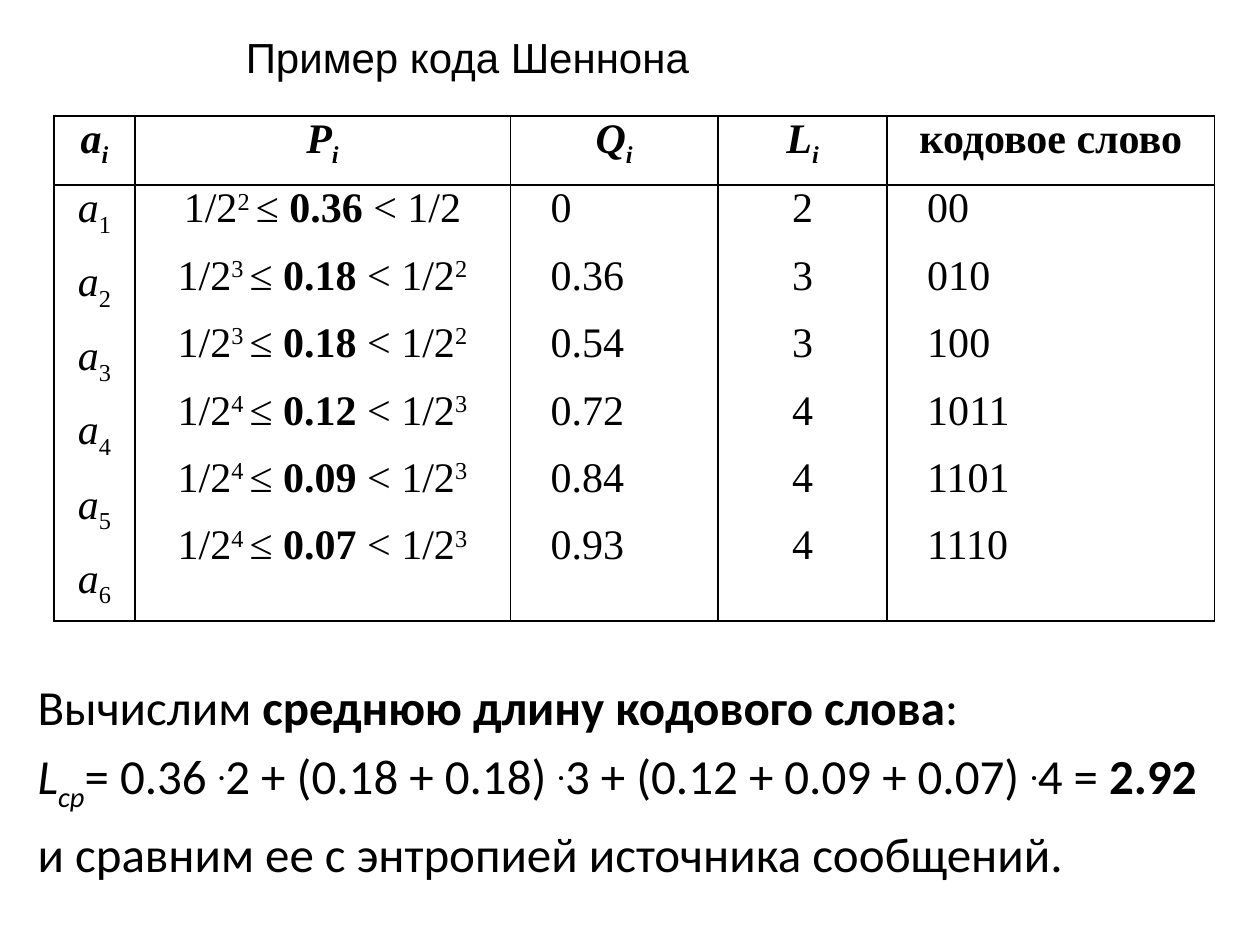
from lxml.etree import SubElement
from pptx import Presentation
from pptx.dml.color import RGBColor
from pptx.enum.text import MSO_ANCHOR, MSO_AUTO_SIZE, PP_ALIGN
from pptx.oxml.ns import qn
from pptx.util import Inches, Pt

THEME = {
    "ink": "000000",
    "title": ("Arial", 24),
    "table": ("Times New Roman", 24),
    "body": ("Calibri", 28),
    "border": 1,
    "gap": 6,
}

# A run is (text, marks): b bold, i italic, _ subscript, ^ superscript.
TITLE = [("Пример кода Шеннона", "")]
SYMBOLS = ["a", "P", "Q", "L"]
LAST_HEADER = [("кодовое слово", "b")]

# Lower power of two, probability, upper power, cumulative Q, length, code word
CODES = [
    ("2", "0.36", "", "0", "2", "00"),
    ("3", "0.18", "2", "0.36", "3", "010"),
    ("3", "0.18", "2", "0.54", "3", "100"),
    ("4", "0.12", "3", "0.72", "4", "1011"),
    ("4", "0.09", "3", "0.84", "4", "1101"),
    ("4", "0.07", "3", "0.93", "4", "1110"),
]
COLUMN_WIDTHS = [0.64, 2.98, 1.65, 1.34, 2.6]
ROW_HEIGHTS = [0.55, 3.46]
LEFT_COLUMNS = (2, 4)
CELL_MARGIN, LEFT_INDENT = 0.07, 0.25

DOT = (".", "b^")
SUMMARY = [
    [("Вычислим ", ""), ("среднюю длину кодового слова", "b"), (":", "")],
    [("L", "i"), ("ср", "i_"), ("= 0.36 ", ""), DOT,
     ("2 + (0.18 + 0.18) ", ""), DOT,
     ("3 + (0.12 + 0.09 + 0.07) ", ""), DOT, ("4 = ", ""), ("2.92", "b")],
    [("и сравним ее с энтропией источника сообщений.", "")],
]


def write(tf, lines, font, align, before=0, after=0):
    name, size = font
    for n, line in enumerate(lines):
        p = tf.paragraphs[0] if n == 0 else tf.add_paragraph()
        p.alignment = align
        p.space_before = Pt(before if n or after else 0)
        p.space_after = Pt(after)
        for text, marks in line:
            r = p.add_run()
            r.text = text
            r.font.name, r.font.size = name, Pt(size)
            r.font.bold, r.font.italic = "b" in marks, "i" in marks
            r.font.color.rgb = RGBColor.from_string(THEME["ink"])
            if "_" in marks or "^" in marks:
                base = "-25000" if "_" in marks else "30000"
                r.font._element.set("baseline", base)


def add_text(slide, box, lines, font, align, before=0):
    tf = slide.shapes.add_textbox(*map(Inches, box)).text_frame
    tf.auto_size = MSO_AUTO_SIZE.SHAPE_TO_FIT_TEXT
    write(tf, lines, font, align, before)
    return tf


def set_borders(cell):
    tc_pr = cell._tc.get_or_add_tcPr()
    for side in ("a:lnL", "a:lnR", "a:lnT", "a:lnB"):
        ln = SubElement(tc_pr, qn(side), w=str(Pt(THEME["border"])))
        fill = SubElement(ln, qn("a:solidFill"))
        SubElement(fill, qn("a:srgbClr"), val=THEME["ink"])


def code_columns():
    """Return the body of each column as a list of lines."""
    columns = [[] for _ in COLUMN_WIDTHS]
    for n, (low, prob, high, total, length, word) in enumerate(CODES, 1):
        bounds = [("1/2", ""), (low + " ", "^"), ("≤ ", ""),
                  (prob, "b"), (" < 1/2", "")]
        if high:
            bounds.append((high, "^"))
        lines = ([("a", "i"), (str(n), "_")], bounds,
                 [(total, "")], [(length, "")], [(word, "")])
        for column, line in zip(columns, lines):
            column.append(line)
    return columns


def add_code_table(slide):
    headers = [[(s, "bi"), ("i", "bi_")] for s in SYMBOLS] + [LAST_HEADER]
    rows = [[[h] for h in headers], code_columns()]
    table = slide.shapes.add_table(
        len(rows), len(headers), Inches(0.43), Inches(0.92),
        Inches(sum(COLUMN_WIDTHS)), Inches(sum(ROW_HEIGHTS))).table
    table.first_row = table.horz_banding = False
    for column, width in zip(table.columns, COLUMN_WIDTHS):
        column.width = Inches(width)
    for i, row in enumerate(rows):
        table.rows[i].height = Inches(ROW_HEIGHTS[i])
        gap = THEME["gap"] if i else 0
        for j, lines in enumerate(row):
            cell = table.cell(i, j)
            left = i > 0 and j in LEFT_COLUMNS
            cell.margin_left = Inches(CELL_MARGIN + LEFT_INDENT * left)
            cell.margin_right = Inches(CELL_MARGIN)
            cell.margin_top = cell.margin_bottom = 0
            set_borders(cell)
            cell.fill.background()
            write(cell.text_frame, lines, THEME["table"],
                  PP_ALIGN.LEFT if left else PP_ALIGN.CENTER, gap, gap)


def main():
    prs = Presentation()
    prs.slide_width, prs.slide_height = Inches(10), Inches(7.5)
    slide = prs.slides.add_slide(prs.slide_layouts[6])
    add_code_table(slide)
    title = add_text(slide, (1.83, 0.2, 3.76, 0.5), [*[TITLE]],
                     THEME["title"], PP_ALIGN.CENTER)
    title.word_wrap = False
    title.vertical_anchor = MSO_ANCHOR.MIDDLE
    summary = add_text(slide, (0.2, 5.32, 9.69, 1.99), SUMMARY,
                       THEME["body"], PP_ALIGN.LEFT, THEME["gap"])
    summary.word_wrap = True
    prs.save("out.pptx")


if __name__ == "__main__":
    main()
